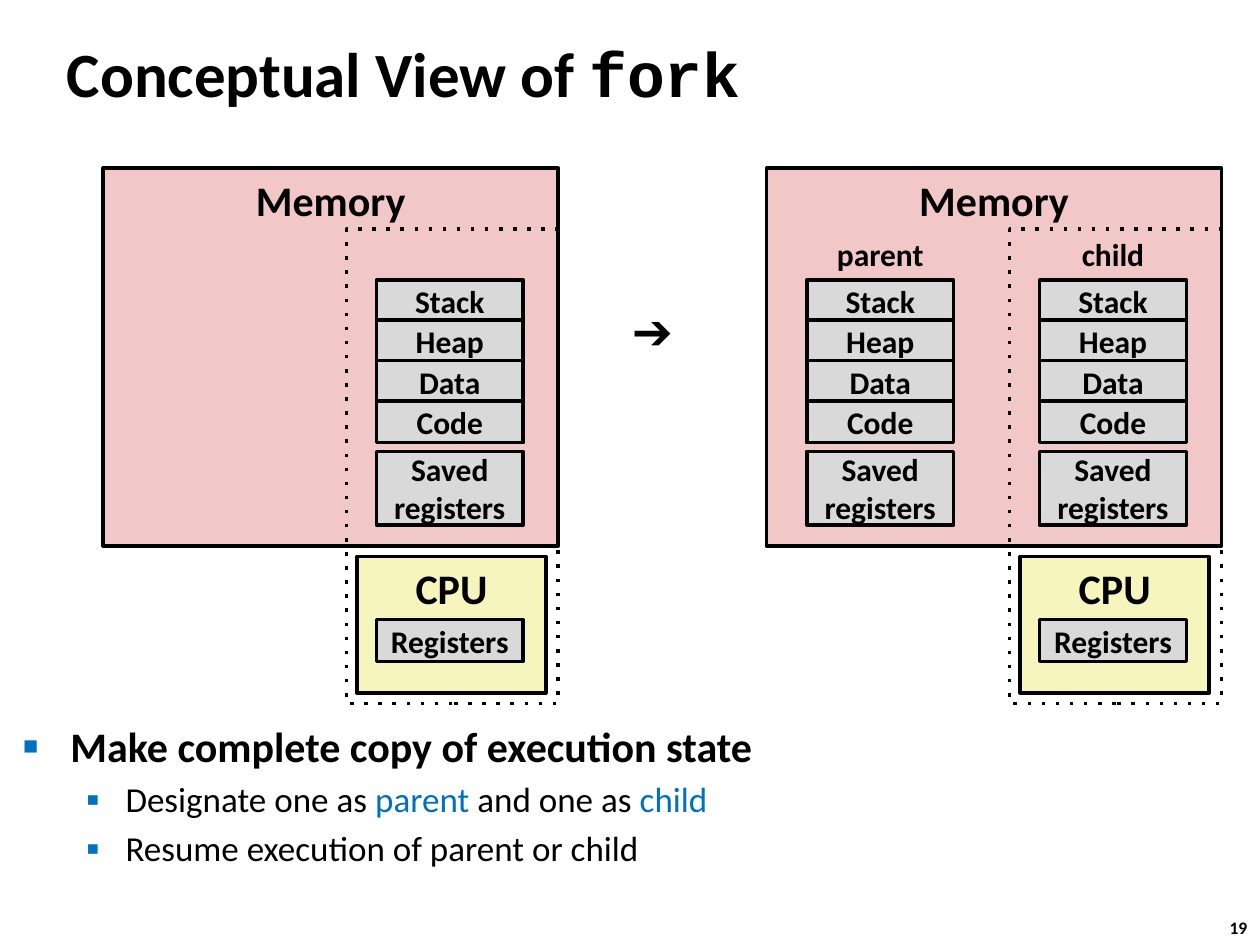
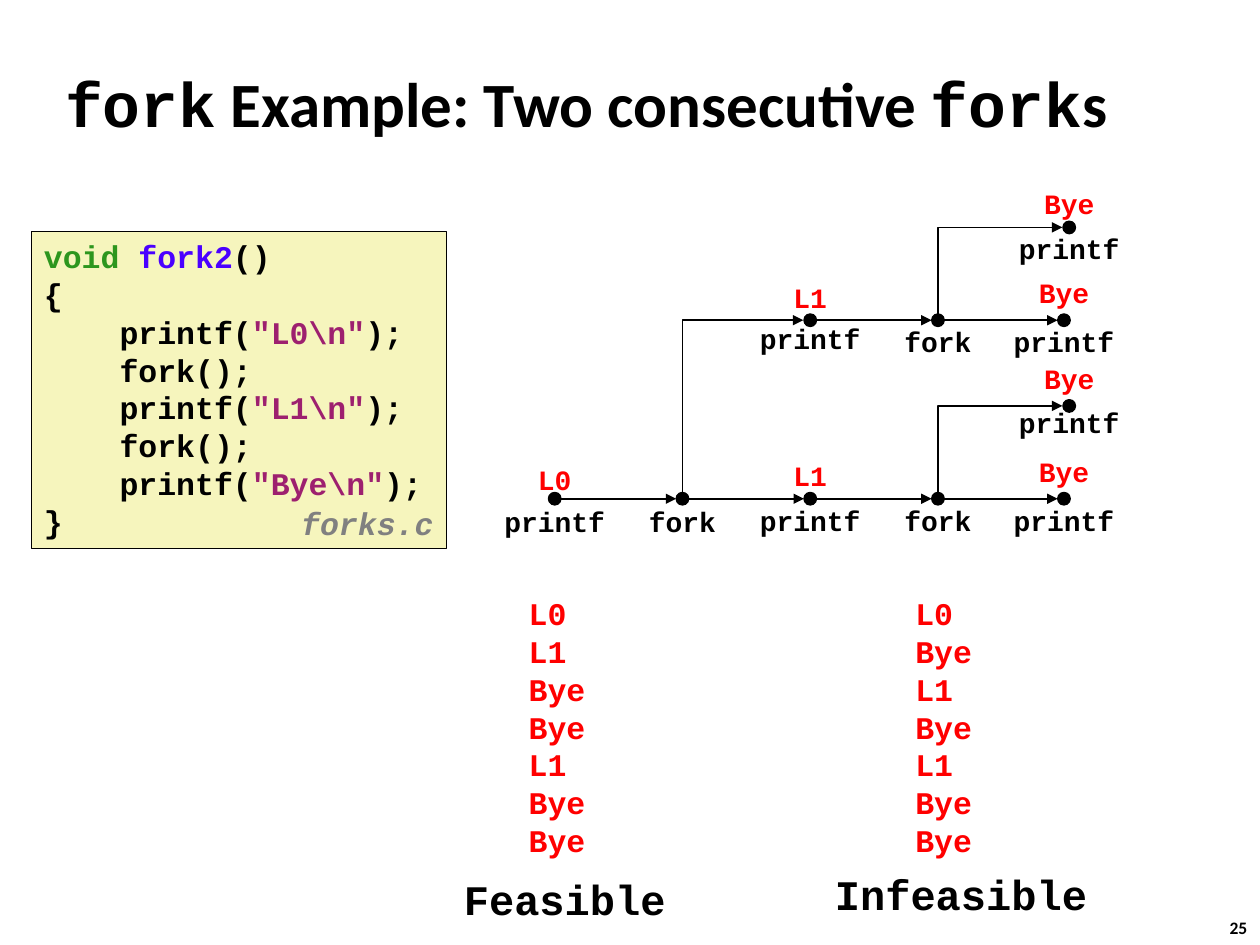
from lxml.etree import SubElement
from pptx import Presentation
from pptx.dml.color import RGBColor
from pptx.enum.shapes import MSO_CONNECTOR, MSO_SHAPE
from pptx.enum.text import MSO_ANCHOR, MSO_AUTO_SIZE, PP_ALIGN
from pptx.oxml.ns import qn
from pptx.util import Pt

LEFT, MID = PP_ALIGN.LEFT, PP_ALIGN.CENTER
TOP, HALF = MSO_ANCHOR.TOP, MSO_ANCHOR.MIDDLE
FIXED = MSO_AUTO_SIZE.NONE
RECT, OVAL = MSO_SHAPE.RECTANGLE, MSO_SHAPE.OVAL
LINE, BENT = MSO_CONNECTOR.STRAIGHT, MSO_CONNECTOR.ELBOW

BLACK, RED, BLUE, GREY = "000000", "FF0000", "0070C0", "808080"
PINK, CREAM, STONE = "F1C7C7", "F6F5BD", "D9D9D9"
SANS, MONO = "Calibri", "Courier New"

BASE = {"name": SANS, "size": Pt(18), "bold": True, "hue": BLACK}
HEAD = {**BASE, "size": Pt(36)}
BIG = {**BASE, "size": Pt(24)}
SUB = {**BASE, "size": Pt(20), "bold": False}
PAGE = {**BASE, "size": Pt(10)}
ARROW = {**BASE, "name": "Arial", "size": Pt(28)}
CODE = {**BASE, "name": MONO}
NODE = {**CODE, "size": Pt(16)}
MARK = {**NODE, "hue": RED}
OUT = {**CODE, "hue": RED}
NOTE = {**CODE, "size": Pt(24)}
FILE = {**CODE, "hue": GREY, "italic": True}

TYPE = {"name": MONO}
KEY, FUNC, QUOTE = {"hue": "2D961E"}, {"hue": "4A00FF"}, {"hue": "9D206F"}
ACCENT = {"hue": BLUE}

VIEW = {
    "title": [("Conceptual View of ", {}), ("fork", TYPE)],
    "spot": (31, 11.5, 598, 60),
    "page": "19",
}
POINTS = [
    (0, ["Make complete copy of execution state"]),
    (1, ["Designate one as ", ("parent", ACCENT), " and one as ", ("child", ACCENT)]),
    (1, ["Resume execution of parent or child"]),
]
LEVELS = [
    {"font": BIG, "left": 27, "hang": 27, "sign": "■", "scale": 60, "gap": 0},
    {"font": SUB, "left": 58.5, "hang": 22.5, "sign": "▪", "scale": 110, "gap": 4},
]
PARTS = ["Stack", "Heap", "Data", "Code"]
PANELS = [(59, [(156, "")]), (438, [(23, "parent"), (156, "child")])]

CHAIN = {
    "title": [("fork", TYPE), " Example: Two consecutive ", ("fork", TYPE), "s"],
    "spot": (30, 36, 672, 45),
    "page": "25",
}
SOURCE = [
    [("void ", KEY), ("fork2", FUNC), "()"],
    ["{"],
    ["    printf(", ("\"L0\\n\"", QUOTE), ");"],
    ["    fork();"],
    ["    printf(", ("\"L1\\n\"", QUOTE), ");"],
    ["    fork();"],
    ["    printf(", ("\"Bye\\n\"", QUOTE), ");"],
    ["}"],
]
LOW, HIGH, RISE = 285, 183, 53
NODES = {
    "start": (317, LOW, "printf", 0, "L0", 24),
    "split": (390, LOW, "fork", 0, "", 0),
    "low": (463, LOW, "printf", -1, "L1", 26.5),
    "low fork": (536, LOW, "fork", -1, "", 0),
    "low end": (608, LOW, "printf", -1, "Bye", 29),
    "low kid": (611, LOW - RISE, "printf", -4, "Bye", 29),
    "high": (463, HIGH, "printf", -3, "L1", 26.5),
    "high fork": (536, HIGH, "fork", -1, "", 0),
    "high end": (608, HIGH, "printf", -1, "Bye", 29),
    "high kid": (611, HIGH - RISE, "printf", -1, "Bye", 27),
}
LINKS = [
    ("start", "split"), ("split", "low"), ("split", "high"),
    ("low", "low fork"), ("low fork", "low end"), ("low fork", "low kid"),
    ("high", "high fork"), ("high fork", "high end"), ("high fork", "high kid"),
]
RUNS = [
    (295, "L0 L1 Bye Bye L1 Bye Bye", "Feasible", (258, 495.5, 130, 36)),
    (516, "L0 Bye L1 Bye L1 Bye Bye", "Infeasible", (470, 493, 160, 36)),
]


def tint(code):
    return RGBColor.from_string(code)


def put(item, vals):
    for key, val in vals.items():
        if key == "hue":
            item.color.rgb = tint(val)
        else:
            setattr(item, key, val)


def place(shape, spot):
    sides = ("left", "top", "width", "height")
    put(shape, dict(zip(sides, map(Pt, spot))))


def add(root, tag, **vals):
    return SubElement(root, qn(tag), vals)


def fill_row(para, row, font):
    for part in row:
        words, more = (part, {}) if isinstance(part, str) else part
        run = para.add_run()
        run.text = words
        put(run.font, {**font, **more})


def write(frame, rows, font, align=LEFT, anchor=TOP, wrap=True):
    put(frame, {"word_wrap": wrap, "vertical_anchor": anchor, "auto_size": FIXED})
    for num, row in enumerate(rows):
        para = frame.add_paragraph() if num else frame.paragraphs[0]
        para.alignment = align
        fill_row(para, row, font)


def label(slide, spot, rows, font, align=LEFT):
    text = slide.shapes.add_textbox(*map(Pt, spot))
    write(text.text_frame, rows, font, align, wrap=False)
    return text


def box(slide, spot, fill, width=2, kind=RECT):
    shape = slide.shapes.add_shape(kind, *map(Pt, spot))
    shape.shadow.inherit = False
    if fill:
        shape.fill.solid()
        shape.fill.fore_color.rgb = tint(fill)
    else:
        shape.fill.background()
    put(shape.line, {"hue": BLACK, "width": Pt(width)})
    return shape


def block(slide, spot, fill, words, font=BASE, anchor=HALF):
    write(box(slide, spot, fill).text_frame, [[words]], font, MID, anchor)


def start(deck, form, info):
    slide = deck.slides.add_slide(deck.slide_layouts[form])
    title = slide.shapes.title
    place(title, info["spot"])
    write(title.text_frame, [info["title"]], HEAD, LEFT, HALF)
    label(slide, (695.5, 520.5, 26.5, 19.5), [[info["page"]]], PAGE)
    return slide


def bullets(shape):
    place(shape, (6, 408, 622, 104.5))
    frame = shape.text_frame
    put(frame, {"word_wrap": True, "auto_size": FIXED})
    for num, (level, row) in enumerate(POINTS):
        form = LEVELS[level]
        para = frame.add_paragraph() if num else frame.paragraphs[0]
        para.level = level
        props = para._p.get_or_add_pPr()
        props.set("marL", str(Pt(form["left"])))
        props.set("indent", str(-Pt(form["hang"])))
        add(add(props, "a:buClr"), "a:srgbClr", val=BLUE)
        add(props, "a:buSzPct", val=str(form["scale"] * 1000))
        add(props, "a:buFont", typeface="Arial")
        add(props, "a:buChar", char=form["sign"])
        para.space_before = Pt(form["gap"])
        fill_row(para, row, form["font"])


def panel(slide, x, stacks):
    block(slide, (x + 145, 318, 108, 78), CREAM, "CPU", BIG, TOP)
    block(slide, (x + 156, 354, 84, 24), STONE, "Registers")
    block(slide, (x, 96, 260, 216), PINK, "Memory", BIG, TOP)
    for shift, name in stacks:
        left = x + shift
        for num, part in enumerate(PARTS):
            block(slide, (left, 160 + 23 * num, 84, 24), STONE, part)
        block(slide, (left, 258, 84, 42), STONE, "Saved registers")
        if name:
            label(slide, (left, 131, 84, 29), [[name]], BASE, MID)
    frame = box(slide, (x + 139, 131, 121, 271), None)
    add(frame.element.spPr.find(qn("a:ln")), "a:prstDash", val="dot")


def link(slide, tail, tip):
    x1, y1 = NODES[tail][:2]
    x2, y2 = NODES[tip][:2]
    if y1 == y2:
        kind, ends = LINE, (x1 + 3.6, y1, x2 - 3.6, y2)
    else:
        x2 -= 4
        midx, midy = (x1 + x2) / 2, (y1 + y2) / 2
        wide, tall = (y1 - y2) / 2, (x2 - x1) / 2
        kind, ends = BENT, (midx + wide, midy + tall, midx - wide, midy - tall)
    wire = slide.shapes.add_connector(kind, *map(Pt, ends))
    put(wire.line, {"hue": BLACK, "width": Pt(1)})
    props = wire.element.spPr
    add(props.find(qn("a:ln")), "a:tailEnd", type="triangle")
    add(props, "a:effectLst")
    if kind == BENT:
        props.find(qn("a:xfrm")).set("rot", "5400000")
        props.find(qn("a:prstGeom")).set("prst", "bentConnector2")


def view(deck):
    slide = start(deck, 1, VIEW)
    bullets(slide.placeholders[1])
    for x, stacks in PANELS:
        panel(slide, x, stacks)
    label(slide, (354, 168, 45, 41), [["➔"]], ARROW)


def chain(deck):
    slide = start(deck, 5, CHAIN)
    code = box(slide, (18, 132, 237, 181.5), CREAM, 0.25)
    write(code.text_frame, SOURCE, CODE)
    for tail, tip in LINKS:
        link(slide, tail, tip)
    for x, y, word, drop, mark, lift in NODES.values():
        box(slide, (x - 3.6, y - 3.6, 7.2, 7.2), BLACK, 0.75, OVAL)
        label(slide, (x - 37.5, y + drop, 75, 26.5), [[word]], NODE, MID)
        if mark:
            label(slide, (x - 22, y - lift, 44, 26.5), [[mark]], MARK, MID)
    for x, lines, name, spot in RUNS:
        label(slide, (x, 336, 47, 160), [[line] for line in lines.split()], OUT)
        label(slide, spot, [[name]], NOTE)
    note = label(slide, (165, 286.5, 95, 28), [["forks.c"]], FILE)
    note.text_frame.paragraphs[0].line_spacing = 0.94


def main():
    deck = Presentation()
    put(deck, {"slide_width": Pt(720), "slide_height": Pt(540)})
    view(deck)
    chain(deck)
    deck.save("out.pptx")


if __name__ == "__main__":
    main()
